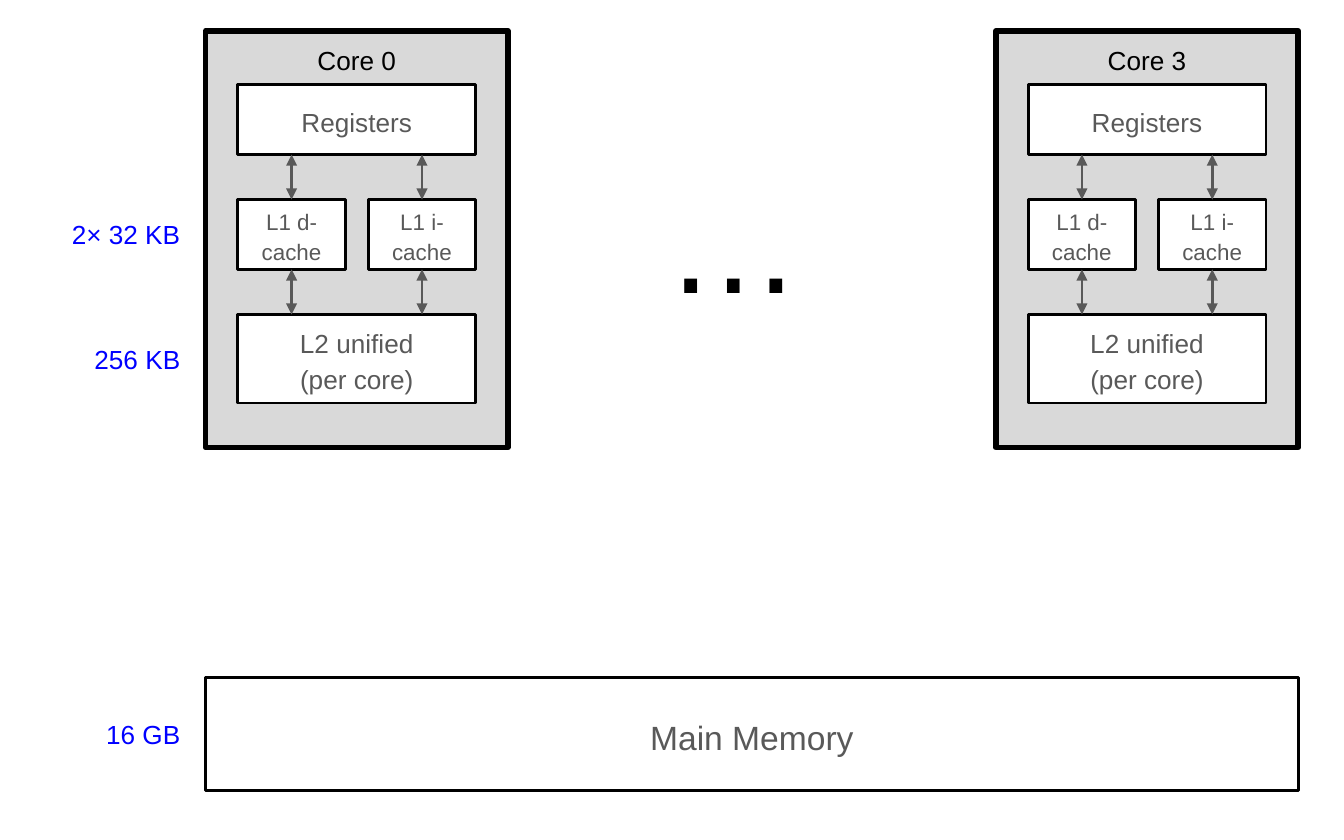
from lxml.etree import SubElement
from pptx import Presentation
from pptx.dml.color import RGBColor as RGB
from pptx.enum.shapes import MSO_CONNECTOR as Line, MSO_SHAPE as Shape
from pptx.enum.text import MSO_ANCHOR as Anchor, PP_ALIGN as Align
from pptx.oxml.ns import qn
from pptx.util import Inches, Pt

# Lengths are in grid cells: the slide is 100 columns by 62.5 rows.
COLS, ROWS = 100, 62.5
CELL = Inches(10) / COLS
HUES = {"ink": "000000", "text": "595959", "size": "0000FF",
        "core": "D9D9D9", "part": "FFFFFF"}

CORE_W, CORE_H, TOP = 22.5, 31, 2.3
LEFT, RIGHT = 15.3, 96.6
GAP = 3.35
REG_Y, REG_H = 4, 5.2
L1_Y, L1_W, L1_H = REG_Y + REG_H + GAP, 8, 5.2
L2_Y, L2_W, L2_H = L1_Y + L1_H + GAP, 17.7, 6.6
MEM_Y, MEM_H = 50.4, 8.4


def grid(*cells):
    return [round(n * CELL) for n in cells]


def hue(name):
    return RGB.from_string(HUES[name])


def write(shape, text, size=14, color="text", align=Align.CENTER,
          anchor=Anchor.MIDDLE, space=None):
    frame = shape.text_frame
    frame.word_wrap = True
    frame.vertical_anchor = anchor
    frame.margin_left = frame.margin_right = Inches(0.1)
    frame.margin_top = frame.margin_bottom = Inches(0.1)
    frame.text = text
    for para in frame.paragraphs:
        para.alignment = align
        para.line_spacing = space
        font = para.font
        font.name, font.size = "Arial", Pt(size)
        font.color.rgb = hue(color)


def block(slide, box, text, fill="part", width=1.5, **form):
    shape = slide.shapes.add_shape(Shape.RECTANGLE, *grid(*box))
    shape.shadow.inherit = False
    if fill:
        shape.fill.solid()
        shape.fill.fore_color.rgb = hue(fill)
    else:
        shape.fill.background()
    shape.line.color.rgb = hue("ink")
    shape.line.width = Pt(width)
    write(shape, text, **form)
    return shape


def label(slide, box, text, **form):
    write(slide.shapes.add_textbox(*grid(*box)), text, **form)


def arrow(slide, x, y):
    """Draw a two-headed arrow down the gap that starts at y."""
    link = slide.shapes.add_connector(Line.STRAIGHT, *grid(x, y, x, y + GAP))
    link.line.color.rgb = hue("text")
    link.line.width = Pt(1.5)
    edge = link.line._get_or_add_ln()
    for end in ("a:headEnd", "a:tailEnd"):
        SubElement(edge, qn(end), type="triangle")
    SubElement(link._element.spPr, qn("a:effectLst"))
    return link


def core(slide, box, name):
    x, y, w, h = box
    block(slide, box, name, fill="core", width=3, color="ink",
          anchor=Anchor.TOP)
    left = x + (w - L2_W) / 2
    block(slide, (left, y + L2_Y, L2_W, L2_H), "L2 unified\n(per core)",
          space=1.15)
    block(slide, (left, y + REG_Y, L2_W, REG_H), "Registers", space=1.15)
    for part, at in (("L1 d-cache", left), ("L1 i-cache", left + L2_W - L1_W)):
        cache = block(slide, (at, y + L1_Y, L1_W, L1_H), part, size=12,
                      space=1.15)
        mid = at + L1_W / 2
        arrow(slide, mid, y + REG_Y + REG_H).end_connect(cache, 0)
        arrow(slide, mid, y + L1_Y + L1_H).begin_connect(cache, 2)


def sizes(slide, box):
    """Label the capacity of each memory level, down one column."""
    x, y, w, h = box
    for text, row, high in (("2× 32 KB", TOP + L1_Y, L1_H),
                            ("256 KB", TOP + L2_Y, L2_H),
                            ("16 GB", MEM_Y, MEM_H)):
        label(slide, (x, y + row, w, high), text, color="size",
              align=Align.RIGHT)


def main():
    deck = Presentation()
    deck.slide_width, deck.slide_height = grid(COLS, ROWS)
    slide = deck.slides.add_slide(deck.slide_layouts[6])
    last = RIGHT - CORE_W
    for name, x in (("Core 0", LEFT), ("Core 3", last)):
        core(slide, (x, TOP, CORE_W, CORE_H), name)
    start = LEFT + CORE_W
    label(slide, (start, 15.3, last - start, 5.1), "… ", size=72, color="ink")
    block(slide, (LEFT, MEM_Y, RIGHT - LEFT, MEM_H), "Main Memory",
          fill=None, size=18, space=1.15)
    sizes(slide, (0.9, 0, 13.5, ROWS))
    deck.save("out.pptx")


if __name__ == "__main__":
    main()
